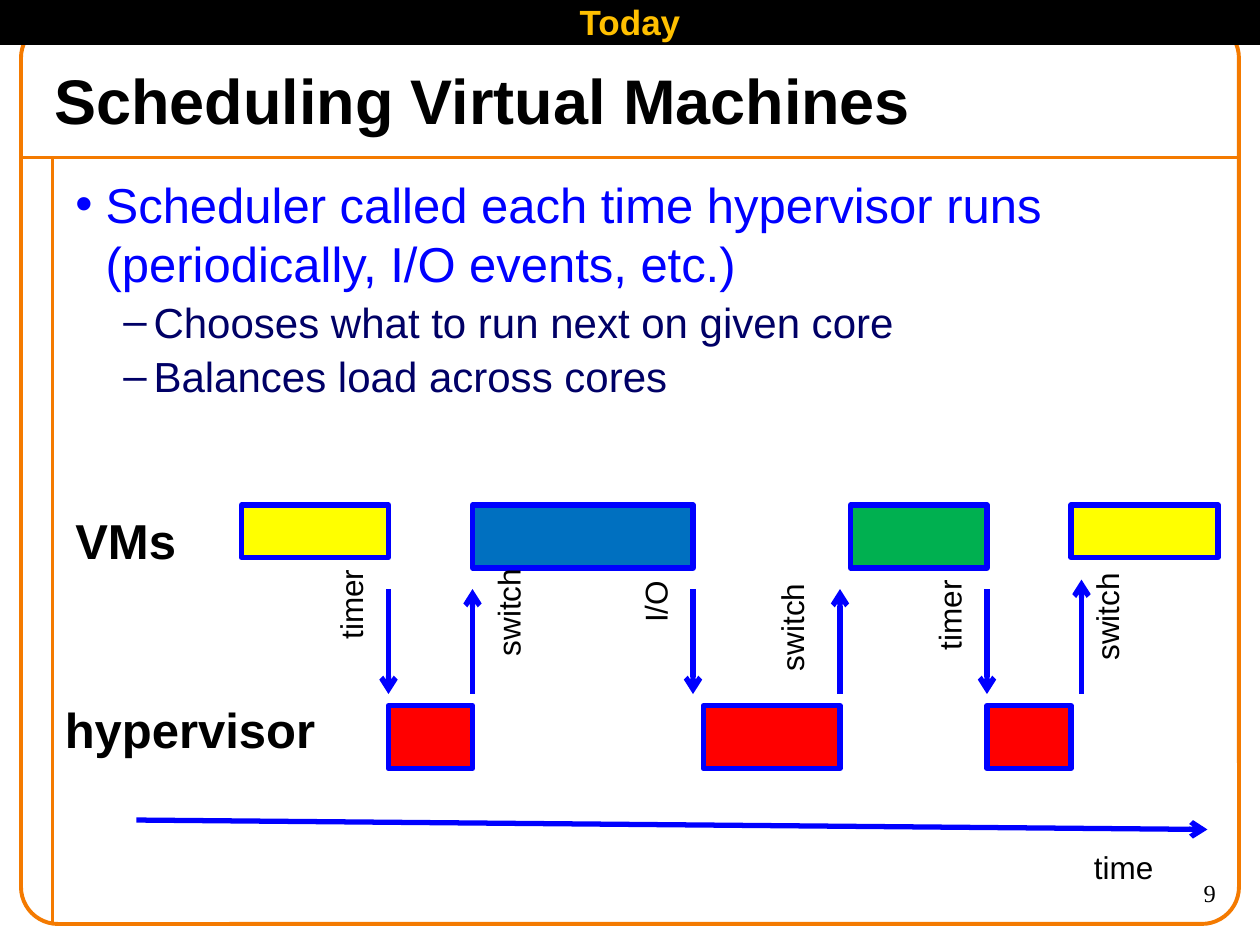
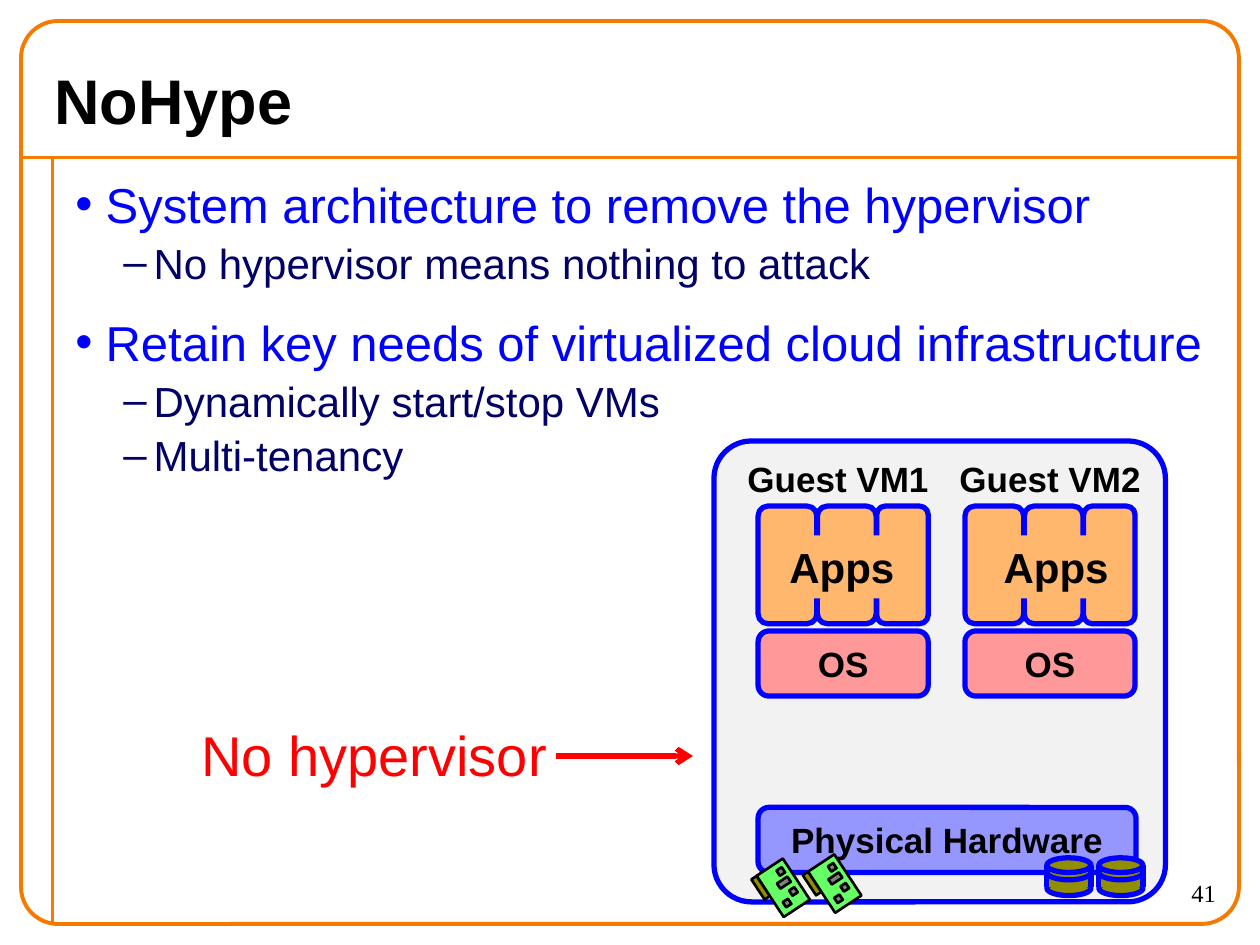
import pptx
import pptx.dml.color
import pptx.enum.shapes
import pptx.enum.text
import pptx.oxml.ns
import pptx.util
from lxml import etree

SHAPE = pptx.enum.shapes.MSO_SHAPE
ALIGN = pptx.enum.text.PP_ALIGN
ANCHOR = pptx.enum.text.MSO_ANCHOR
AUTO = pptx.enum.text.MSO_AUTO_SIZE
qn = pptx.oxml.ns.qn

COLS, ROWS = 120, 90
WIDTH, HEIGHT = pptx.util.Inches(10), pptx.util.Inches(7.5)
ORANGE, BLUE, NAVY = "F47A00", "0000FF", "000066"
BLACK, RED, YELLOW, GREEN = "000000", "FF0000", "FFFF00", "00B050"
APP, OLIVE = "FFB66D", "918E00"
LEVELS = [
    dict(size=28, color=BLUE, bullet="\u2022", left=0.24, before=50),
    dict(size=24, color=NAVY, bullet="\u2013", left=0.62, before=10),
]


def rgb(value):
    return pptx.dml.color.RGBColor.from_string(value)


def x(cols):
    return round(WIDTH * cols / COLS)


def y(rows):
    return round(HEIGHT * rows / ROWS)


def add_run(p, text, size, color=BLACK, bold=False, font="Arial"):
    r = p.add_run()
    r.text = text
    r.font.size = pptx.util.Pt(size)
    r.font.name = font
    r.font.bold = bold
    r.font.color.rgb = rgb(color)


def add_text(slide, at, text, size, color=BLACK, bold=False, font="Arial",
             wrap=False, align=ALIGN.LEFT, anchor=ANCHOR.TOP, vertical=False):
    left, top, width, height = at
    sp = slide.shapes.add_textbox(x(left), y(top), x(width), y(height))
    tf = sp.text_frame
    tf.word_wrap = wrap
    tf.auto_size = AUTO.NONE if wrap else AUTO.SHAPE_TO_FIT_TEXT
    tf.vertical_anchor = anchor
    if vertical:
        tf._txBody.bodyPr.set("vert", "vert270")
    p = tf.paragraphs[0]
    p.alignment = align
    add_run(p, text, size, color, bold, font)


def add_box(shapes, at, fill=None, line=BLUE, weight=3, kind=SHAPE.RECTANGLE, adj=None, rotation=0):
    left, top, width, height = at
    sp = shapes.add_shape(kind, x(left), y(top), x(width), y(height))
    sp.shadow.inherit = False
    sp.rotation = rotation
    if adj is not None:
        sp.adjustments[0] = adj
    if fill:
        sp.fill.solid()
        sp.fill.fore_color.rgb = rgb(fill)
    else:
        sp.fill.background()
    if line:
        sp.line.color.rgb = rgb(line)
        sp.line.width = pptx.util.Pt(weight)
    else:
        sp.line.fill.background()
    return sp


def label(sp, text, size=20, color=BLACK, align=ALIGN.CENTER, anchor=ANCHOR.MIDDLE, wrap=False):
    tf = sp.text_frame
    tf.word_wrap = wrap
    tf.vertical_anchor = anchor
    p = tf.paragraphs[0]
    p.alignment = align
    add_run(p, text, size, color, True)


def add_line(slide, start, end, color=BLUE, weight=3, arrow=None):
    sp = slide.shapes.add_connector(pptx.enum.shapes.MSO_CONNECTOR.STRAIGHT,
                                    x(start[0]), y(start[1]), x(end[0]), y(end[1]))
    sp.line.color.rgb = rgb(color)
    sp.line.width = pptx.util.Pt(weight)
    if arrow:
        etree.SubElement(sp.line._get_or_add_ln(), qn(f"a:{arrow}End"), type="arrow")
    etree.SubElement(sp._element.spPr, qn("a:effectLst"))


def add_bullets(slide, items):
    sp = slide.shapes.add_textbox(x(6), y(16), x(111), y(72))
    tf = sp.text_frame
    tf.word_wrap = True
    for i, (level, text) in enumerate(items):
        style = LEVELS[level]
        p = tf.add_paragraph() if i else tf.paragraphs[0]
        p.level = level
        pPr = p._p.get_or_add_pPr()
        pPr.set("marL", str(pptx.util.Inches(style["left"])))
        pPr.set("indent", str(pptx.util.Inches(-0.24)))
        before = etree.SubElement(pPr, qn("a:spcBef"))
        etree.SubElement(before, qn("a:spcPct"), val=str(style["before"] * 1000))
        etree.SubElement(pPr, qn("a:buFont"), typeface="Arial")
        etree.SubElement(pPr, qn("a:buChar"), char=style["bullet"])
        for n, part in enumerate(text.split("\n")):
            if n:
                p.add_line_break()
            add_run(p, part, style["size"], style["color"])


def add_base(prs, title, number, bullets):
    slide = prs.slides.add_slide(prs.slide_layouts[6])
    add_line(slide, (2, 15), (118, 15), ORANGE, 2.25)
    add_line(slide, (5, 15), (5, 88), ORANGE, 2.25)
    add_box(slide.shapes, (2, 2, 116, 86), None, ORANGE, 2.25, SHAPE.ROUNDED_RECTANGLE, 0.041)
    add_text(slide, (4, 5, 105.8, 9), title, 36, bold=True, wrap=True, anchor=ANCHOR.MIDDLE)
    add_bullets(slide, bullets)
    add_text(slide, (105, 83, 12, 5), number, 14, font="Times New Roman",
             wrap=True, align=ALIGN.RIGHT)
    return slide


def add_scheduling(prs):
    slide = add_base(prs, "Scheduling Virtual Machines", "9", [
        (0, "Scheduler called each time hypervisor runs\n(periodically, I/O events, etc.)"),
        (1, "Chooses what to run next on given core"),
        (1, "Balances load across cores"),
    ])
    for start, end, height, fill in [(23, 37, 5, YELLOW), (45, 66, 6, "0070C0"),
                                     (81, 94, 6, GREEN), (102, 116, 5, YELLOW)]:
        add_box(slide.shapes, (start, 48.1, end - start, height), fill)
    for start, end in [(37, 45), (67, 80), (94, 102)]:
        add_box(slide.shapes, (start, 67.2, end - start, 6), RED)

    heights = {"timer": 7.9, "switch": 9.6, "I/O": 5.3}
    for col, top, event, left, text_top in [
            (37, 56.1, "timer", 31, 54.2), (45, 56.1, "switch", 46, 54.1),
            (66, 56.1, "I/O", 60, 55.2), (80, 56.1, "switch", 73, 55.5),
            (94, 56.1, "timer", 88, 55.2), (103, 55.2, "switch", 103, 54.5)]:
        add_line(slide, (col, top), (col, 66.1), arrow="head" if event == "switch" else "tail")
        add_text(slide, (left, text_top, 6, heights[event]), event, 18, vertical=True)

    add_text(slide, (6, 48, 12.1, 6.8), "VMs", 28, bold=True)
    add_text(slide, (5, 66, 26.5, 6.8), "hypervisor", 28, bold=True)
    add_line(slide, (13, 78.1), (115, 79), arrow="tail")
    add_text(slide, (103, 80.2, 8.2, 4.8), "time", 18)
    label(add_box(slide.shapes, (0, 0, COLS, 4), BLACK, BLACK), "Today", color="FFC000")


def add_guest(slide, left, name, name_left, apps_left):
    for offset, width in [(0, 5.6), (11.3, 4.9), (5.65, 5.6)]:
        add_box(slide.shapes, (left + offset, 48.2, width, 11.2), APP, kind=SHAPE.ROUNDED_RECTANGLE)
    apps = add_box(slide.shapes, (apps_left, 51, 12.5, 6), APP, None)
    label(apps, "Apps", 24, align=ALIGN.LEFT, anchor=ANCHOR.TOP, wrap=True)
    system = add_box(slide.shapes, (left, 60.1, 16.2, 6.2), "FF9999", kind=SHAPE.ROUNDED_RECTANGLE)
    label(system, "OS")
    add_text(slide, (name_left, 43, 19.8, 5.3), name, 20, bold=True)


def add_disk(slide, left):
    width, top, bottom = 4.2, 82.4, 84.5
    add_box(slide.shapes, (left, 83.9, width, 1.4), OLIVE, kind=SHAPE.OVAL)
    add_box(slide.shapes, (left, top, width, bottom - top), OLIVE, None)
    for side in (left, left + width):
        add_line(slide, (side, top), (side, bottom))
    for lid in (top, 81.7):
        add_box(slide.shapes, (left, lid, width, 1.4), OLIVE, kind=SHAPE.OVAL)


def add_card(slide, left, top):
    group = slide.shapes.add_group_shape()
    for dx, dy, width, height, fill in [
            (0, 0, 3, 4.7, "66FF66"), (-0.96, 1.2, 0.6, 2.3, OLIVE),
            (0.96, 0.5, 0.6, 0.6, "808080"), (2.16, 2.4, 0.6, 0.6, "808080"),
            (0.96, 1.56, 1.2, 0.6, "808080"), (1.56, 3.5, 0.6, 0.6, "808080")]:
        add_box(group.shapes, (left + dx, top + dy, width, height), fill, BLACK, 1.5, rotation=326.6)


def add_nohype(prs):
    slide = add_base(prs, "NoHype", "41", [
        (0, "System architecture to remove the hypervisor"),
        (1, "No hypervisor means nothing to attack"),
        (0, "Retain key needs of virtualized cloud infrastructure"),
        (1, "Dynamically start/stop VMs"),
        (1, "Multi-tenancy"),
    ])
    add_box(slide.shapes, (68, 42, 43, 43.9), "F2F2F2", kind=SHAPE.ROUNDED_RECTANGLE, adj=0.083)
    hardware = add_box(slide.shapes, (72.2, 76.9, 36, 6.2), "9696FF", kind=SHAPE.ROUNDED_RECTANGLE)
    label(hardware, "Physical Hardware")
    add_guest(slide, 72.2, "Guest VM1", 70, 74)
    add_guest(slide, 91.9, "Guest VM2", 90.2, 94.4)
    for left in (99.7, 104.65):
        add_disk(slide, left)
    add_card(slide, 78, 81.8)
    add_card(slide, 73.1, 82.2)
    add_text(slide, (18, 68, 35.6, 7.7), "No hypervisor", 32, RED)
    add_line(slide, (53, 72), (66, 72), RED, arrow="tail")


def main():
    prs = pptx.Presentation()
    prs.slide_width, prs.slide_height = WIDTH, HEIGHT
    add_scheduling(prs)
    add_nohype(prs)
    prs.save("out.pptx")


main()
